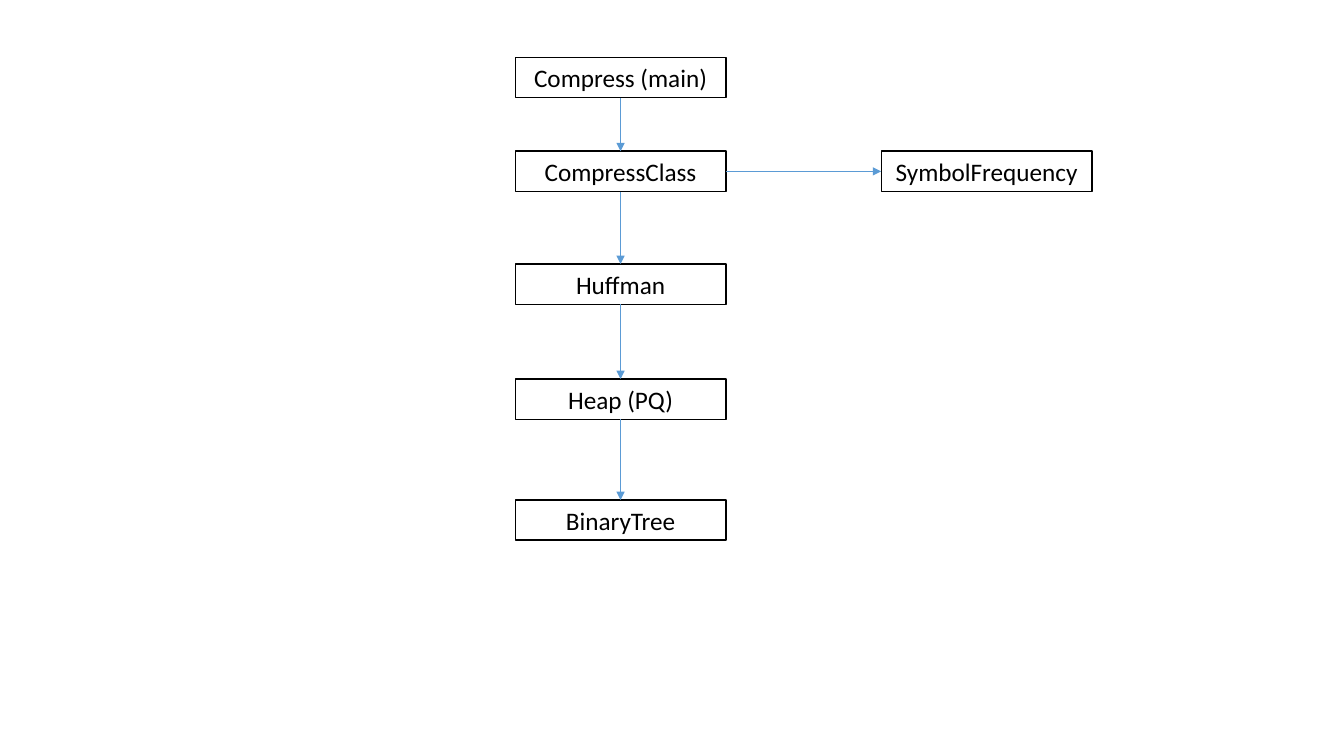
"""Build a slide showing the class dependencies of a compression program."""
import pptx
import pptx.dml.color
import pptx.enum.shapes
import pptx.enum.text
import pptx.oxml.ns
import pptx.util
import lxml.etree

Inches = pptx.util.Inches
RGBColor = pptx.dml.color.RGBColor
qn = pptx.oxml.ns.qn

COLORS = {"box": "FFFFFF", "ink": "000000", "arrow": "5B9BD5"}
BOX_WIDTH, BOX_HEIGHT = 2.09, 0.4
MAIN_LEFT, SIDE_LEFT = 5.11, 8.74
TOP, LEFT, BOTTOM, RIGHT = range(4)

CLASSES = [
    ("Compress (main)", MAIN_LEFT, 0.57),
    ("CompressClass", MAIN_LEFT, 1.5),
    ("SymbolFrequency", SIDE_LEFT, 1.5),
    ("Huffman", MAIN_LEFT, 2.62),
    ("Heap (PQ)", MAIN_LEFT, 3.76),
    ("BinaryTree", MAIN_LEFT, 4.96),
]
USES = [
    ("Compress (main)", BOTTOM, "CompressClass", TOP),
    ("CompressClass", RIGHT, "SymbolFrequency", LEFT),
    ("CompressClass", BOTTOM, "Huffman", TOP),
    ("Huffman", BOTTOM, "Heap (PQ)", TOP),
    ("Heap (PQ)", BOTTOM, "BinaryTree", TOP),
]

deck = pptx.Presentation()
deck.slide_width = Inches(13.33)
deck.slide_height = Inches(7.5)
page = deck.slides.add_slide(deck.slide_layouts[6])

boxes = {}
for name, left, top in CLASSES:
    box = page.shapes.add_shape(
        pptx.enum.shapes.MSO_SHAPE.RECTANGLE,
        Inches(left), Inches(top), Inches(BOX_WIDTH), Inches(BOX_HEIGHT),
    )
    box.shadow.inherit = False
    box.fill.solid()
    box.fill.fore_color.rgb = RGBColor.from_string(COLORS["box"])
    box.line.color.rgb = RGBColor.from_string(COLORS["ink"])
    box.line.width = pptx.util.Pt(1)
    frame = box.text_frame
    frame.word_wrap = True
    frame.auto_size = pptx.enum.text.MSO_AUTO_SIZE.SHAPE_TO_FIT_TEXT
    frame.vertical_anchor = pptx.enum.text.MSO_ANCHOR.TOP
    para = frame.paragraphs[0]
    para.alignment = pptx.enum.text.PP_ALIGN.CENTER
    span = para.add_run()
    span.text = name
    span.font.name = "Calibri"
    span.font.size = pptx.util.Pt(18)
    span.font.color.rgb = RGBColor.from_string(COLORS["ink"])
    boxes[name] = box

for user, user_side, used, used_side in USES:
    arrow = page.shapes.add_connector(
        pptx.enum.shapes.MSO_CONNECTOR.STRAIGHT, 0, 0, 0, 0
    )
    arrow.begin_connect(boxes[user], user_side)
    arrow.end_connect(boxes[used], used_side)
    arrow.line.color.rgb = RGBColor.from_string(COLORS["arrow"])
    arrow.line.width = pptx.util.Pt(0.5)
    properties = arrow.element.spPr
    outline = properties.find(qn("a:ln"))
    lxml.etree.SubElement(outline, qn("a:tailEnd"), type="triangle")
    lxml.etree.SubElement(properties, qn("a:effectLst"))

deck.save("out.pptx")
